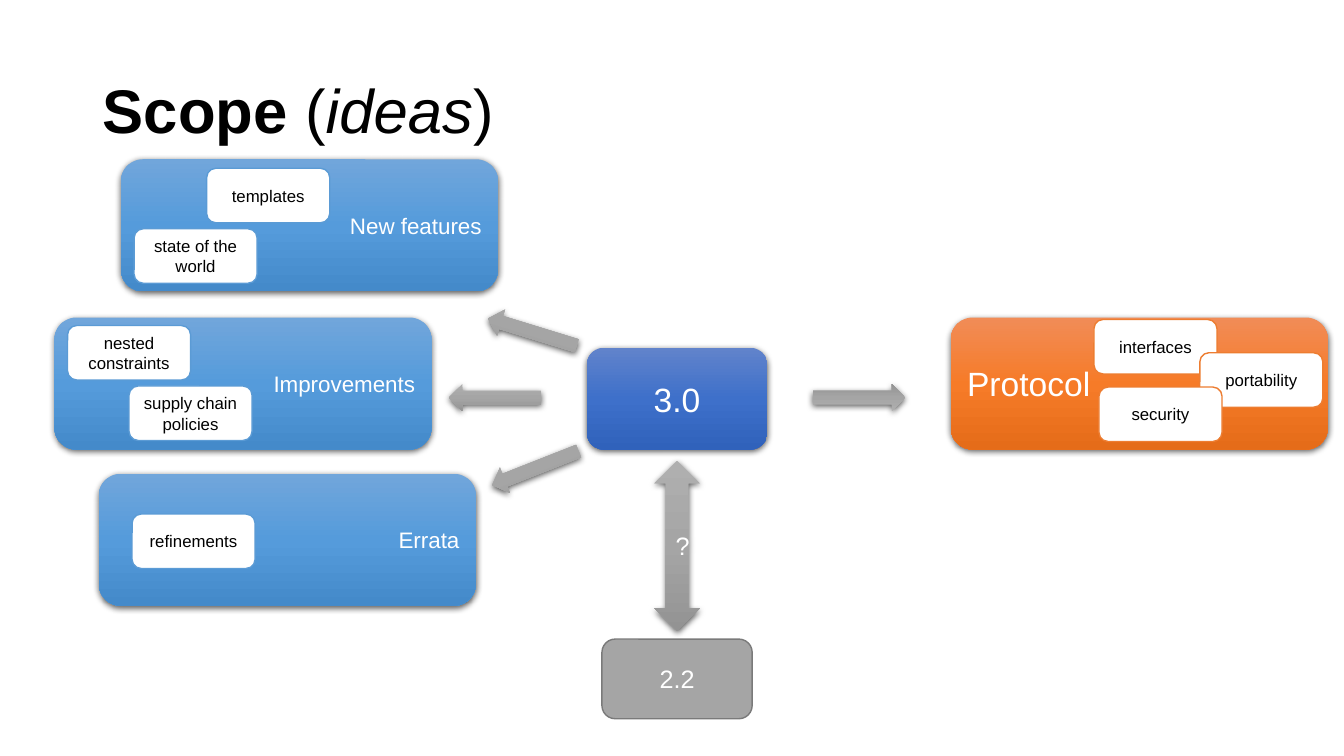
from lxml.etree import SubElement
from pptx import Presentation
from pptx.dml.color import RGBColor
from pptx.enum.shapes import MSO_SHAPE
from pptx.enum.text import MSO_ANCHOR, PP_ALIGN
from pptx.oxml.ns import qn
from pptx.util import Inches, Pt

BLACK = RGBColor(0x00, 0x00, 0x00)
WHITE = RGBColor(0xFF, 0xFF, 0xFF)
GRAY = RGBColor(0xA5, 0xA5, 0xA5)
GRAY_EDGE = RGBColor(0x7A, 0x7A, 0x7A)
BLUE_EDGE = RGBColor(0x5B, 0x9B, 0xD5)
ORANGE_EDGE = RGBColor(0xED, 0x7D, 0x31)
GRAY_SHADES = (RGBColor(0xAF, 0xAF, 0xAF), GRAY, RGBColor(0x93, 0x93, 0x93))
NAVY_SHADES = (RGBColor(0x61, 0x83, 0xCB), RGBColor(0x3E, 0x70, 0xCA), RGBColor(0x30, 0x62, 0xBB))
BLUE_SHADES = (RGBColor(0x71, 0xA6, 0xDB), RGBColor(0x55, 0x9B, 0xDB), RGBColor(0x44, 0x8A, 0xCA))
ORANGE_SHADES = (RGBColor(0xF1, 0x8C, 0x57), RGBColor(0xF6, 0x7B, 0x28), RGBColor(0xE5, 0x6C, 0x19))

GROUP_SIZE = (3.74, 1.31)
IDEA_SIZE = (1.22, 0.54)
ARROW_SIZE = (0.92, 0.27)

GROUPS = [
    ("Protocol", 9.43, 3.15, ORANGE_SHADES, 24, PP_ALIGN.LEFT),
    ("Improvements", 0.54, 3.15, BLUE_SHADES, 16, PP_ALIGN.RIGHT),
    ("New features", 1.2, 1.58, BLUE_SHADES, 16, PP_ALIGN.RIGHT),
    ("Errata", 0.98, 4.7, BLUE_SHADES, 16, PP_ALIGN.RIGHT),
]
ARROWS = [(4.45, 3.81, 0), (4.85, 4.51, 338.5), (4.82, 3.16, 17.1), (8.06, 3.81, 180)]
IDEAS = [
    ("templates", 2.05, 1.67, BLUE_EDGE),
    ("nested constraints", 0.67, 3.23, BLUE_EDGE),
    ("refinements", 1.31, 5.1, BLUE_EDGE),
    ("interfaces", 10.85, 3.17, ORANGE_EDGE),
    ("portability", 11.9, 3.5, ORANGE_EDGE),
    ("security", 10.9, 3.84, ORANGE_EDGE),
    ("supply chain policies", 1.28, 3.83, BLUE_EDGE),
    ("state of the world", 1.33, 2.27, BLUE_EDGE),
]


class ScopePage:
    font = "Arial"

    def __init__(self, deck):
        self.page = deck.slides.add_slide(deck.slide_layouts[5])

    def add_span(self, para, text, size, color, bold=False, italic=False):
        span = para.add_run()
        span.text = text
        span.font.name = self.font
        span.font.size = Pt(size)
        span.font.color.rgb = color
        span.font.bold = bold
        span.font.italic = italic

    def title(self, spans):
        box = self.page.shapes.title
        box.left, box.top, box.width, box.height = map(Inches, (0.92, 0.4, 11.5, 1.45))
        box.text_frame.word_wrap = True
        box.text_frame.vertical_anchor = MSO_ANCHOR.MIDDLE
        para = box.text_frame.paragraphs[0]
        para.alignment = PP_ALIGN.LEFT
        para.line_spacing = 0.9
        for text, bold, italic in spans:
            self.add_span(para, text, 44, BLACK, bold, italic)

    def shape(self, kind, left, top, size, text="", points=18, color=WHITE, align=PP_ALIGN.CENTER):
        box = self.page.shapes.add_shape(kind, *map(Inches, (left, top, *size)))
        box.shadow.inherit = False
        box.text_frame.word_wrap = True
        box.text_frame.vertical_anchor = MSO_ANCHOR.MIDDLE
        if text:
            para = box.text_frame.paragraphs[0]
            para.alignment = align
            self.add_span(para, text, points, color)
        return box

    def flat(self, box, fill, edge):
        box.fill.solid()
        box.fill.fore_color.rgb = fill
        box.line.color.rgb = edge
        box.line.width = Pt(1)

    def raised(self, box, shades):
        box.line.fill.background()
        box.fill.gradient()
        box.fill.gradient_angle = 270
        properties = box.element.spPr
        stops = properties.find(".//" + qn("a:gsLst"))
        for stop in list(stops):
            stops.remove(stop)
        for position, shade in zip((0, 50000, 100000), shades):
            stop = SubElement(stops, qn("a:gs"), pos=str(position))
            SubElement(stop, qn("a:srgbClr"), val=str(shade))
        shadow = SubElement(properties.find(qn("a:effectLst")), qn("a:outerShdw"),
                            blurRad=str(Pt(4.5)), dist=str(Pt(1.5)), dir="5400000",
                            algn="ctr", rotWithShape="0")
        tint = SubElement(shadow, qn("a:srgbClr"), val=str(BLACK))
        SubElement(tint, qn("a:alpha"), val="63000")

    def group(self, text, left, top, shades, points, align):
        box = self.shape(MSO_SHAPE.ROUNDED_RECTANGLE, left, top, GROUP_SIZE, text, points, align=align)
        self.raised(box, shades)

    def arrow(self, left, top, rotation):
        box = self.shape(MSO_SHAPE.LEFT_ARROW, left, top, ARROW_SIZE)
        box.rotation = rotation
        self.raised(box, GRAY_SHADES)

    def idea(self, text, left, top, edge):
        box = self.shape(MSO_SHAPE.ROUNDED_RECTANGLE, left, top, IDEA_SIZE, text, 12, BLACK)
        self.flat(box, WHITE, edge)

    def versions(self):
        old = self.shape(MSO_SHAPE.ROUNDED_RECTANGLE, 5.97, 6.34, (1.49, 0.79), "2.2")
        self.flat(old, GRAY, GRAY_EDGE)
        new = self.shape(MSO_SHAPE.ROUNDED_RECTANGLE, 5.82, 3.45, (1.79, 1.01), "3.0", 24)
        self.raised(new, NAVY_SHADES)
        link = self.shape(MSO_SHAPE.UP_DOWN_ARROW, 6.49, 4.57, (0.45, 1.69), "?")
        self.raised(link, GRAY_SHADES)


def main():
    deck = Presentation()
    deck.slide_width = Inches(13.33)
    deck.slide_height = Inches(7.5)
    scope = ScopePage(deck)
    scope.title([("Scope ", True, False), ("(", False, False),
                 ("ideas", False, True), (")", False, False)])
    scope.versions()
    for group in GROUPS:
        scope.group(*group)
    for arrow in ARROWS:
        scope.arrow(*arrow)
    for idea in IDEAS:
        scope.idea(*idea)
    deck.save("out.pptx")


if __name__ == "__main__":
    main()
